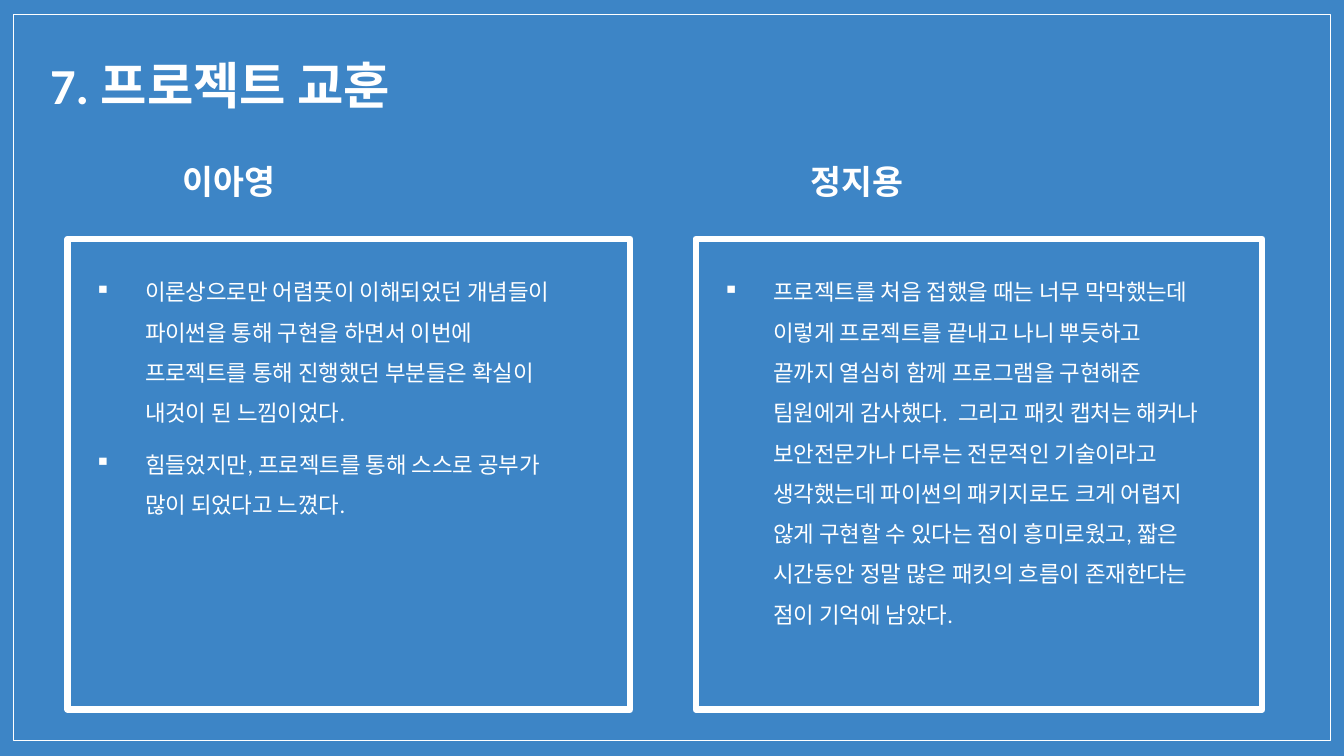
from dataclasses import dataclass

from lxml.etree import SubElement
from pptx import Presentation
from pptx.dml.color import RGBColor
from pptx.enum.shapes import MSO_SHAPE as Shape
from pptx.enum.text import MSO_ANCHOR as Anchor
from pptx.oxml.ns import qn
from pptx.slide import Slide
from pptx.util import Inches, Pt

COLORS = {"background": "3D85C6", "white": "FFFFFF"}
FONT = "Calibri"


@dataclass
class Lesson:
    name: str
    left: float
    frame_width: float
    points: list[str]


LESSONS = [
    Lesson("이아영", 0.67, 5.58, [
        "이론상으로만 어렴풋이 이해되었던 개념들이 파이썬을 통해 구현을 하면서 이번에 "
        "프로젝트를 통해 진행했던 부분들은 확실이 내것이 된 느낌이었다.",
        "힘들었지만, 프로젝트를 통해 스스로 공부가 많이 되었다고 느꼈다.",
    ]),
    Lesson("정지용", 6.9, 5.62, [
        "프로젝트를 처음 접했을 때는 너무 막막했는데 이렇게 프로젝트를 끝내고 나니 뿌듯하고 "
        "끝까지 열심히 함께 프로그램을 구현해준 팀원에게 감사했다.  그리고 패킷 캡처는 "
        "해커나 보안전문가나 다루는 전문적인 기술이라고 생각했는데 파이썬의 패키지로도 "
        "크게 어렵지 않게 구현할 수 있다는 점이 흥미로웠고, 짧은 시간동안 정말 많은 패킷의 "
        "흐름이 존재한다는 점이 기억에 남았다.",
    ]),
]


def add_frame(page: Slide, left: float, top: float, width: float, height: float,
              weight: float) -> None:
    frame = page.shapes.add_shape(
        Shape.RECTANGLE, Inches(left), Inches(top), Inches(width), Inches(height))
    frame.shadow.inherit = False
    frame.fill.background()
    frame.line.color.rgb = RGBColor.from_string(COLORS["white"])
    frame.line.width = Pt(weight)
    SubElement(frame.line._get_or_add_ln(), qn("a:round"))


def add_text(page: Slide, paragraphs: list[str], left: float, top: float, width: float,
             height: float, *, size: float, bold: bool = False, bullet: str = "",
             margin: float = 0, indent: float = 0, line_spacing: float = 1.0) -> None:
    box = page.shapes.add_textbox(
        Inches(left), Inches(top), Inches(width), Inches(height))
    frame = box.text_frame
    frame.word_wrap = True
    frame.vertical_anchor = Anchor.TOP
    frame.margin_left = frame.margin_right = Inches(0.1)
    frame.margin_top = frame.margin_bottom = Inches(0.1)
    for index, text in enumerate(paragraphs):
        para = frame.add_paragraph() if index else frame.paragraphs[0]
        para.line_spacing = line_spacing
        para.space_before = Pt(8 if index else 0)
        properties = para._p.get_or_add_pPr()
        properties.set("marL", str(Inches(margin)))
        properties.set("indent", str(Inches(indent)))
        if bullet:
            bullet_color = SubElement(properties, qn("a:buClr"))
            SubElement(bullet_color, qn("a:srgbClr"), val=COLORS["white"])
            SubElement(properties, qn("a:buChar"), char=bullet)
        span = para.add_run()
        span.text = text
        span.font.size = Pt(size)
        span.font.bold = bold
        span.font.color.rgb = RGBColor.from_string(COLORS["white"])
        span.font.name = FONT
        SubElement(span._r.get_or_add_rPr(), qn("a:ea"), typeface=FONT)


def add_lesson(page: Slide, lesson: Lesson) -> None:
    add_text(page, [lesson.name], lesson.left + 0.87, 1.5, 1.66, 0.75,
             size=24, bold=True, margin=0.17)
    add_frame(page, lesson.left, 2.37, lesson.frame_width, 4.67, 4.5)
    add_text(page, lesson.points, lesson.left, 2.53, 5.12, 3.95,
             size=16, bullet="▪", margin=0.67, indent=-0.5, line_spacing=1.5)


def main() -> None:
    deck = Presentation()
    deck.slide_width, deck.slide_height = Inches(13.33), Inches(7.5)
    page = deck.slides.add_slide(deck.slide_layouts[6])

    # Background and thin border
    page.background.fill.solid()
    page.background.fill.fore_color.rgb = RGBColor.from_string(COLORS["background"])
    add_frame(page, 0.13, 0.14, 13.07, 7.21, 0.75)

    # Title
    add_text(page, ["7. 프로젝트 교훈"], 0.4, 0.44, 12, 0.6, size=36, bold=True)

    # One column per team member
    for lesson in LESSONS:
        add_lesson(page, lesson)

    deck.save("out.pptx")


if __name__ == "__main__":
    main()
